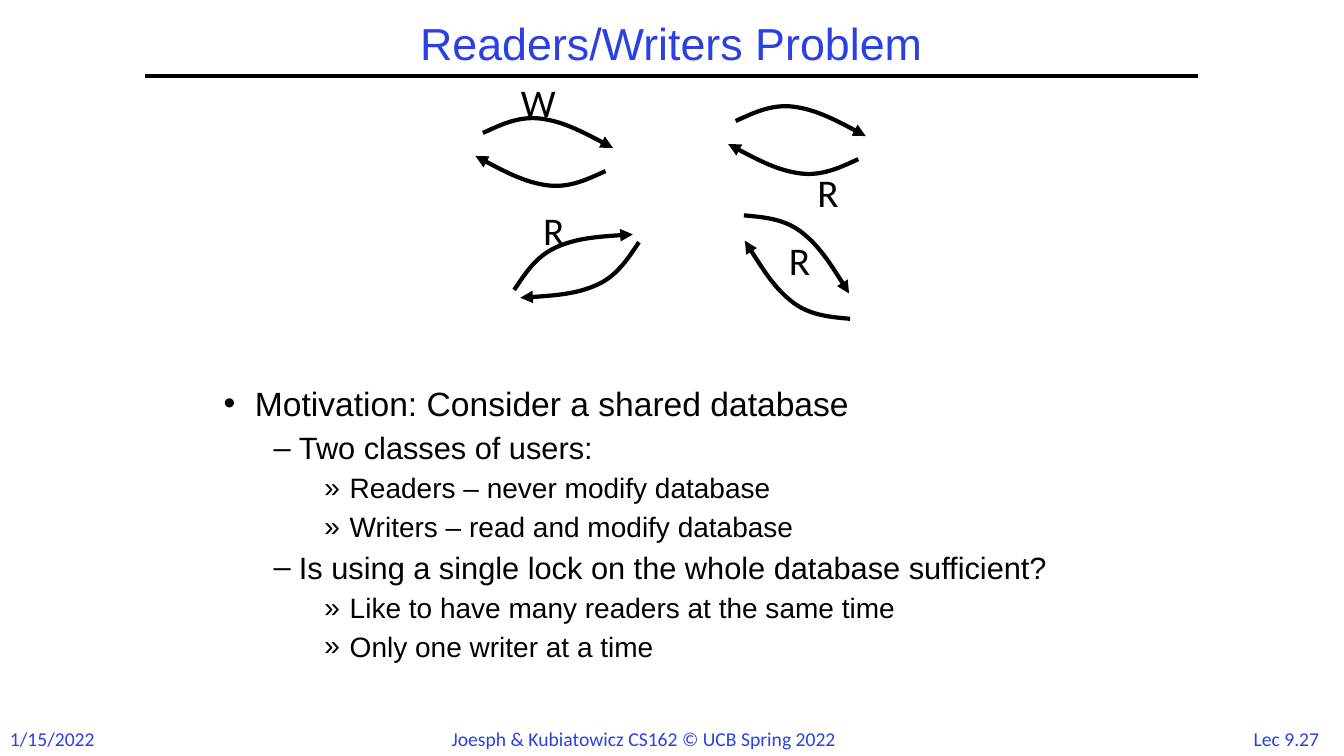
from dataclasses import dataclass
from lxml.etree import SubElement as Sub
from pptx import Presentation
from pptx.dml.color import RGBColor as Rgb
from pptx.enum.shapes import MSO_CONNECTOR as Conn
from pptx.enum.text import MSO_ANCHOR as Anchor, MSO_AUTO_SIZE as Fit, PP_ALIGN as Align
from pptx.oxml.ns import qn
from pptx.util import Cm, Pt


@dataclass(frozen=True)
class Theme:
    blue: Rgb = Rgb(0x2A, 0x40, 0xE2)
    black: Rgb = Rgb(0, 0, 0)
    main: str = "Arial"
    side: str = "Calibri"
    title: int = 32
    list: tuple = (24, 22, 20)
    label: int = 28
    foot: int = 14
    line: int = 3


THEME = Theme()

# Bullet, left margin and first-line indent (cm) by level
MARKS = [("•", 0.79, -0.79), ("–", 1.9, -0.64), ("»", 3.18, -0.64)]
POINTS = [
    (0, "Motivation: Consider a shared database"),
    (1, "Two classes of users:"),
    (2, "Readers – never modify database"),
    (2, "Writers – read and modify database"),
    (1, "Is using a single lock on the whole database sufficient?"),
    (2, "Like to have many readers at the same time"),
    (2, "Only one writer at a time"),
]

# Arc: start point, then two Bézier segments of three points, in 0.01 cm
ARC = [(0, 43), (46, 22), (91, 0), (146, 7), (201, 14), (265, 47), (328, 81)]
# Each pair: left, top, turn, and the shift to the returning arc
PAIRS = [
    (0, 0.3, 0, -0.19, 1.01),
    (6.37, 0, 0, -0.19, 1.01),
    (6.37, 3.2, 30, -0.19, 1.01),
    (0.53, 3.4, 328.3, 0.38, 0.56),
]
# Each label: text, left, top, width
LABELS = [("R", 1.27, 2.46, 1.04), ("R", 8.18, 1.49, 1.04),
          ("R", 7.46, 3.2, 1.04), ("W", 0.71, -0.77, 1.27)]
# Each footer: text, left, width, alignment
FEET = [("1/15/2022", 0, 2.72, Align.LEFT),
        ("Joesph & Kubiatowicz CS162 © UCB Spring 2022", 11.13, 11.56, Align.LEFT),
        ("Lec 9.27", 31.19, 2.46, Align.CENTER)]


def place(shape, x, y, w, h):
    shape.left, shape.top, shape.width, shape.height = Cm(x), Cm(y), Cm(w), Cm(h)


def style(para, size, face, color):
    for run in para.runs:
        run.font.size, run.font.name = Pt(size), face
        run.font.color.rgb = color


def note(slide, text, x, y, w, h, size, color, align=Align.LEFT, wrap=True):
    box = slide.shapes.add_textbox(Cm(x), Cm(y), Cm(w), Cm(h))
    frame = box.text_frame
    frame.word_wrap, frame.text = wrap, text
    para = frame.paragraphs[0]
    para.alignment = align
    style(para, size, THEME.side, color)


def head(slide, x, y, w, h):
    # Title, with a rule along its lower edge
    title = slide.shapes.title
    place(title, x, y, w, h)
    frame = title.text_frame
    frame.text, frame.vertical_anchor = "Readers/Writers Problem", Anchor.MIDDLE
    frame.auto_size = Fit.NONE
    para = frame.paragraphs[0]
    para.alignment, para.line_spacing = Align.CENTER, 0.9
    style(para, THEME.title, THEME.main, THEME.blue)
    rule = slide.shapes.add_connector(
        Conn.STRAIGHT, Cm(x), Cm(y + h), Cm(x + w), Cm(y + h))
    rule.line.width, rule.line.color.rgb = Pt(THEME.line), THEME.black
    Sub(rule._element.spPr, qn("a:effectLst"))


def body(slide, x, y, w, h):
    # Bulleted list
    box = slide.placeholders[1]
    place(box, x, y, w, h)
    frame = box.text_frame
    frame.auto_size = Fit.NONE
    for i, (level, text) in enumerate(POINTS):
        para = frame.add_paragraph() if i else frame.paragraphs[0]
        para.text, para.level, para.line_spacing = text, level, 0.9
        mark, left, indent = MARKS[level]
        props = para._p.get_or_add_pPr()
        props.set("marL", str(Cm(left)))
        props.set("indent", str(Cm(indent)))
        gap = Sub(props, qn("a:spcBef"))
        Sub(gap, qn("a:spcPct"), val="30000" if i else "0")
        Sub(props, qn("a:buChar"), char=mark)
        style(para, THEME.list[level], THEME.main, THEME.black)


def arc(slide, x, y, turn):
    # Curved arrow: the straight segments become Bézier curves
    form = slide.shapes.build_freeform(*ARC[0], scale=Cm(0.01))
    form.add_line_segments(ARC[1:], close=False)
    shape = form.convert_to_shape(Cm(x), Cm(y))
    shape.shadow.inherit = False
    shape.fill.background()
    shape.line.width, shape.line.color.rgb = Pt(THEME.line), THEME.black
    shape.rotation = turn
    Sub(shape.line._get_or_add_ln(), qn("a:tailEnd"), type="triangle")
    steps = list(shape._element.iter(qn("a:lnTo")))
    track = steps[0].getparent()
    for i in range(0, len(steps), 3):
        curve = Sub(track, qn("a:cubicBezTo"))
        for step in steps[i:i + 3]:
            curve.append(step[0])
            track.remove(step)


def users(slide, x, y):
    # Four pairs of arrows and their labels
    for dx, dy, turn, back, down in PAIRS:
        arc(slide, x + dx, y + dy, turn)
        arc(slide, x + dx + back, y + dy + down, (turn + 180) % 360)
    for text, dx, dy, w in LABELS:
        note(slide, text, x + dx, y + dy, w, 1.45, THEME.label, THEME.black)


def foot(slide, y, h):
    # Date, course and page
    for text, x, w, align in FEET:
        note(slide, text, x, y, w, h, THEME.foot, THEME.blue, align, False)


def main():
    deck = Presentation()
    deck.slide_width, deck.slide_height = Cm(33.87), Cm(19.05)
    slide = deck.slides.add_slide(deck.slide_layouts[1])
    head(slide, 3.66, 0.43, 26.52, 1.48)
    body(slide, 5.38, 9.63, 23.6, 8.89)
    users(slide, 12.17, 2.62)
    foot(slide, 18.19, 0.86)
    deck.save("out.pptx")


if __name__ == "__main__":
    main()
